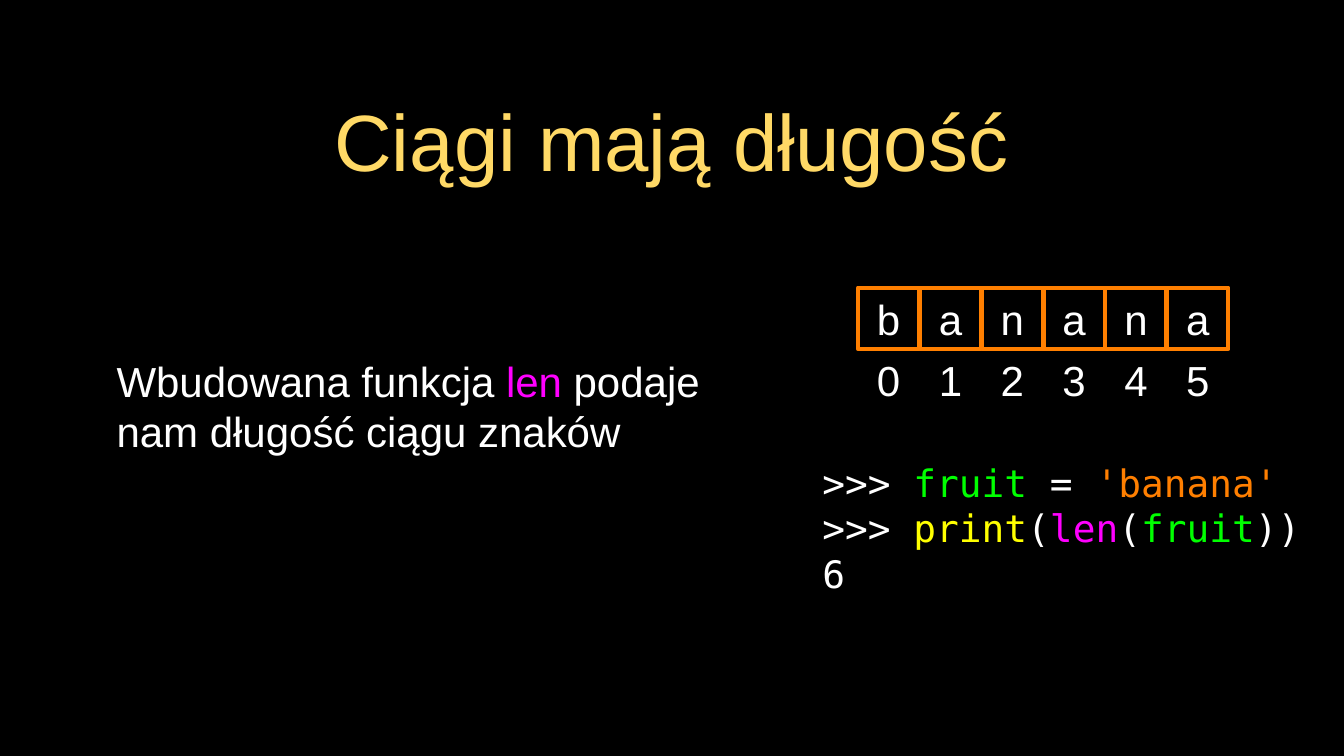
import dataclasses
import typing

import pptx
import pptx.dml.color
import pptx.enum.shapes
import pptx.enum.text
import pptx.oxml.ns
import pptx.util
from lxml import etree

Pt = pptx.util.Pt
Align = pptx.enum.text.PP_ALIGN


def color(code: str) -> pptx.dml.color.RGBColor:
    return pptx.dml.color.RGBColor.from_string(code)


@dataclasses.dataclass(frozen=True)
class Theme:
    back: str = "000000"
    white: str = "FFFFFF"
    gold: str = "FFD966"
    pink: str = "FF00FF"
    green: str = "00FF00"
    yellow: str = "FFFF00"
    orange: str = "FF7F00"
    sans: str = "Arial"
    mono: str = "DejaVu Sans Mono"
    head: float = 76
    text: float = 40
    code: float = 36
    edge: float = 4


class Box(typing.NamedTuple):
    left: float
    top: float
    width: float
    height: float


class Run(typing.NamedTuple):
    text: str
    color: str


class Tile(typing.NamedTuple):
    index: int
    letter: str


THEME = Theme()
TITLE = Box(90.7, 65.5, 1097.3, 134.6)
BODY = Box(90.7, 205.2, 581.8, 362.9)
CODE = Box(783.4, 437, 496.8, 131)
SIDE = 58.3
PITCH = 58.9
ROW = Box(817.2, 274, SIDE, SIDE)
INDENT = 17.3


def place(shape, box: Box) -> None:
    shape.left, shape.top, shape.width, shape.height = map(Pt, box)


def write(shape, lines: list[list[Run]], *, size: float, font: str = THEME.sans,
          align=Align.LEFT, inset: float = 0) -> None:
    """Fill a shape with paragraphs made of coloured runs."""
    frame = shape.text_frame
    frame.word_wrap = True
    frame.auto_size = pptx.enum.text.MSO_AUTO_SIZE.NONE
    frame.vertical_anchor = pptx.enum.text.MSO_ANCHOR.MIDDLE
    frame.margin_left = frame.margin_right = Pt(inset)
    frame.margin_top = frame.margin_bottom = Pt(inset)
    for num, line in enumerate(lines):
        para = frame.add_paragraph() if num else frame.paragraphs[0]
        para.alignment = align
        para.space_before = Pt(0)
        for part in line:
            run = para.add_run()
            run.text = part.text
            run.font.size = Pt(size)
            run.font.name = font
            run.font.color.rgb = color(part.color)


def unlist(para, indent: float) -> None:
    """Drop the bullet and set a plain left indent."""
    props = para._p.get_or_add_pPr()
    props.set("marL", str(Pt(indent)))
    props.set("indent", "0")
    etree.SubElement(props, pptx.oxml.ns.qn("a:buNone"))


def draw(slide, tile: Tile) -> None:
    """Draw a framed letter with its index below."""
    spot = ROW._replace(left=ROW.left + tile.index * PITCH)
    label = slide.shapes.add_textbox(*map(Pt, spot._replace(top=spot.top + SIDE)))
    frame = slide.shapes.add_shape(
        pptx.enum.shapes.MSO_SHAPE.RECTANGLE, *map(Pt, spot))
    frame.shadow.inherit = False
    frame.fill.background()
    frame.line.color.rgb = color(THEME.orange)
    frame.line.width = Pt(THEME.edge)
    for shape, text in ((label, str(tile.index)), (frame, tile.letter)):
        write(shape, [[Run(text, THEME.white)]], size=THEME.text,
              align=Align.CENTER)


def main() -> None:
    deck = pptx.Presentation()
    deck.slide_width, deck.slide_height = Pt(1280.16), Pt(720)
    slide = deck.slides.add_slide(deck.slide_layouts[1])
    slide.background.fill.solid()
    slide.background.fill.fore_color.rgb = color(THEME.back)

    title, body = slide.placeholders
    place(title, TITLE)
    write(title, [[Run("Ciągi mają długość", THEME.gold)]], size=THEME.head,
          align=Align.CENTER, inset=3)

    place(body, BODY)
    unlist(body.text_frame.paragraphs[0], INDENT)
    write(body, [[Run("Wbudowana funkcja ", THEME.white), Run("len", THEME.pink),
                  Run(" podaje nam długość ciągu znaków", THEME.white)]],
          size=THEME.text, inset=3)

    code = slide.shapes.add_textbox(*map(Pt, CODE))
    prompt = Run(">>> ", THEME.white)
    fruit = Run("fruit", THEME.green)
    write(code, [
        [prompt, fruit, Run(" = ", THEME.white), Run("'banana'", THEME.orange)],
        [prompt, Run("print", THEME.yellow), Run("(", THEME.white),
         Run("len", THEME.pink), Run("(", THEME.white), fruit,
         Run("))", THEME.white)],
        [Run("6", THEME.white)],
    ], size=THEME.code, font=THEME.mono)

    for index, letter in enumerate("banana"):
        draw(slide, Tile(index, letter))
    deck.save("out.pptx")


if __name__ == "__main__":
    main()
